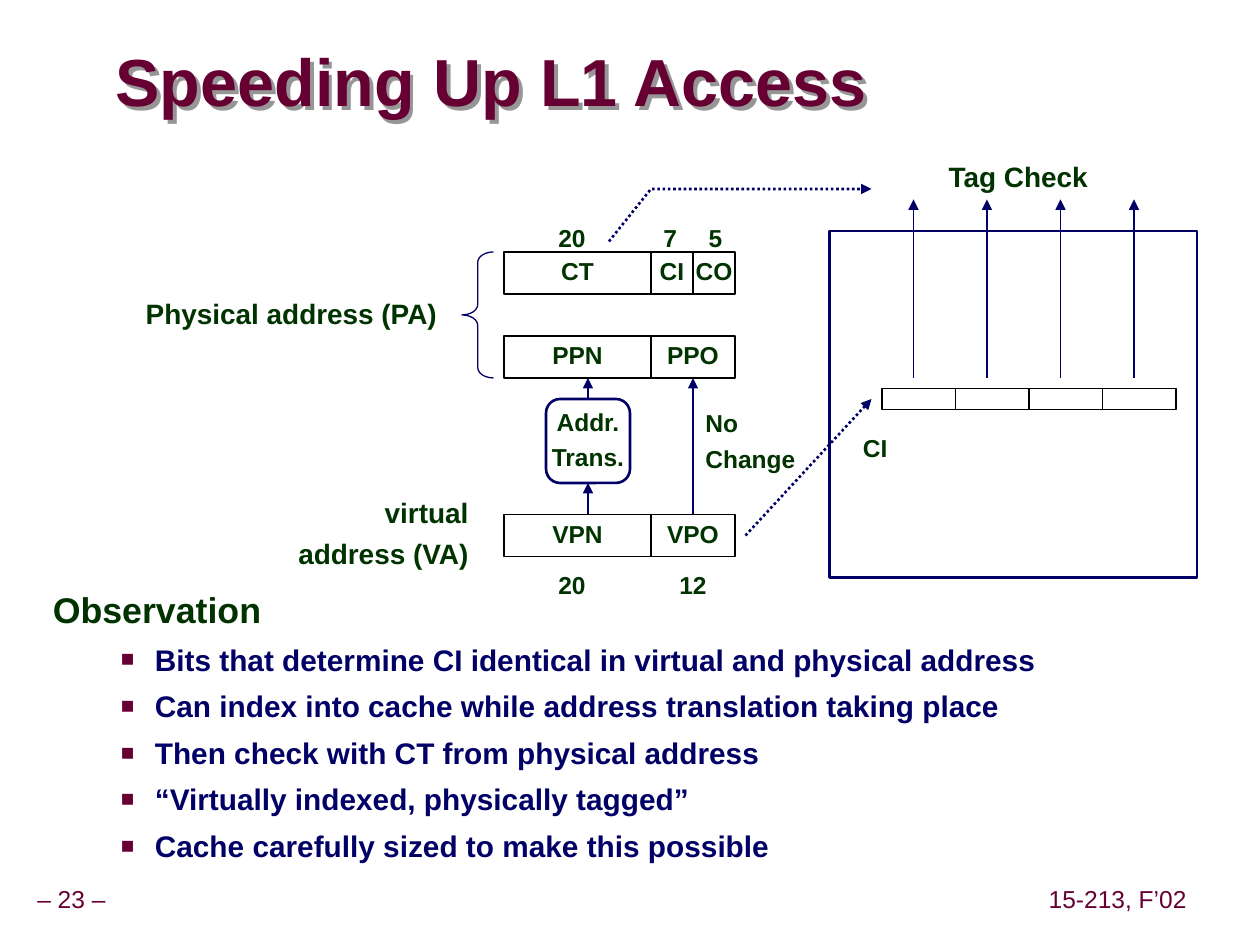
from lxml.etree import SubElement
from pptx import Presentation
from pptx.dml.color import RGBColor
from pptx.enum.dml import MSO_LINE
from pptx.enum.shapes import MSO_CONNECTOR, MSO_SHAPE
from pptx.enum.text import MSO_ANCHOR, PP_ALIGN
from pptx.oxml.ns import qn
from pptx.util import Inches, Pt

MAROON = RGBColor(0x66, 0x00, 0x33)
GREEN = RGBColor(0x00, 0x33, 0x00)
NAVY = RGBColor(0x00, 0x00, 0x66)
BLACK = RGBColor(0x00, 0x00, 0x00)
WHITE = RGBColor(0xFF, 0xFF, 0xFF)
GREY = RGBColor(0x96, 0x96, 0x96)
FONT = "Arial"
UNIT = Inches(1) / 12  # the slide is a grid of 120 columns by 90 rows


def grid(box, *cells):
    """Column, row pairs relative to a box, as slide lengths."""
    return [round((v + box[i % 2]) * UNIT) for i, v in enumerate(cells)]


def area(box, col, row, cols, rows):
    return grid(box, col, row) + grid((0, 0), cols, rows)


def write(tf, lines, size, color=GREEN, bold=True, align=PP_ALIGN.LEFT,
          anchor=MSO_ANCHOR.TOP, wrap=False, spacing=0.9, gap=5.2, inset=(0.1, 0.05)):
    tf.word_wrap = wrap
    tf.vertical_anchor = anchor
    tf.margin_left = tf.margin_right = Inches(inset[0])
    tf.margin_top = tf.margin_bottom = Inches(inset[1])
    for i, line in enumerate(lines):
        p = tf.add_paragraph() if i else tf.paragraphs[0]
        p.alignment = align
        p.line_spacing = spacing
        if i:
            p.space_before = Pt(gap)
        add_run(p, line, size, color, bold)


def add_run(p, text, size, color, bold=True):
    r = p.add_run()
    r.text = text
    r.font.size = Pt(size)
    r.font.bold = bold
    r.font.color.rgb = color
    r.font.name = FONT


def label(s, place, lines, size=14, **style):
    tb = s.shapes.add_textbox(*place)
    write(tb.text_frame, lines, size, **style)
    return tb


def outline(s, kind, place, fill=None, color=NAVY, width=0.75):
    sp = s.shapes.add_shape(kind, *place)
    sp.shadow.inherit = False
    if fill is None:
        sp.fill.background()
    else:
        sp.fill.solid()
        sp.fill.fore_color.rgb = fill
    sp.line.color.rgb = color
    sp.line.width = Pt(width)
    return sp


def field(s, place, text):
    sp = outline(s, MSO_SHAPE.RECTANGLE, place, WHITE, BLACK)
    write(sp.text_frame, [text], 14, align=PP_ALIGN.CENTER, anchor=MSO_ANCHOR.MIDDLE)
    return sp


def style_arrow(sp, dotted):
    sp.line.color.rgb = NAVY
    sp.line.width = Pt(1.5 if dotted else 0.75)
    if dotted:
        sp.line.dash_style = MSO_LINE.ROUND_DOT
    SubElement(sp.line._get_or_add_ln(), qn("a:tailEnd"), type="triangle")


def arrow(s, ends, dotted=False):
    c = s.shapes.add_connector(MSO_CONNECTOR.STRAIGHT, *ends)
    style_arrow(c, dotted)
    SubElement(c._element.spPr, qn("a:effectLst"))
    return c


def title(s, place, text):
    tb = label(s, place, [text], 38, color=MAROON, anchor=MSO_ANCHOR.MIDDLE,
               wrap=True, spacing=0.87, inset=(0, 0))
    # With no fill on the box, its shadow falls from the letters
    effects = SubElement(tb._element.spPr, qn("a:effectLst"))
    shadow = SubElement(effects, qn("a:outerShdw"), dist=str(Inches(0.045)),
                        dir="2700000", algn="ctr", rotWithShape="0")
    SubElement(shadow, qn("a:srgbClr"), val=str(GREY))


def address_diagram(s, box):
    # Rows of address fields: (row, [(name, columns)])
    rows = [(6, [("CT", 14), ("CI", 4), ("CO", 4)]),
            (14, [("PPN", 14), ("PPO", 8)]),
            (31, [("VPN", 14), ("VPO", 8)])]
    fields = {}
    for row, parts in rows:
        col = 38
        for name, cols in parts:
            fields[name] = field(s, area(box, col, row, cols, 4), name)
            col += cols

    # Field widths in bits
    for col, row, cols, bits in [(42, 3, 5, "20"), (52, 3, 3.7, "7"), (56.3, 3, 3.7, "5"),
                                 (42, 36, 5, "20"), (52, 36, 8, "12")]:
        align = PP_ALIGN.CENTER if bits == "12" else PP_ALIGN.LEFT
        label(s, area(box, col, row, cols, 3.7), [bits], align=align)

    # Address names and brace
    label(s, area(box, 0, 10, 32.8, 4), ["Physical address (PA)"], 16,
          align=PP_ALIGN.RIGHT, wrap=True)
    label(s, area(box, 17, 29, 18.8, 8), ["virtual", "address (VA)"], 16,
          align=PP_ALIGN.RIGHT, gap=6)
    brace = outline(s, MSO_SHAPE.LEFT_BRACE, area(box, 34, 6, 3, 12))
    brace.adjustments[0] = 0.33

    # Translation from virtual to physical
    trans = outline(s, MSO_SHAPE.ROUNDED_RECTANGLE, area(box, 42, 20, 8, 8), width=1.5)
    write(trans.text_frame, ["Addr.", "Trans."], 14, align=PP_ALIGN.CENTER,
          anchor=MSO_ANCHOR.MIDDLE)
    arrow(s, grid(box, 46, 31, 46, 28)).end_connect(trans, 2)
    arrow(s, grid(box, 46, 20, 46, 18)).begin_connect(trans, 0)
    same = arrow(s, grid(box, 56, 31, 56, 18))
    same.begin_connect(fields["VPO"], 0)
    same.end_connect(fields["PPO"], 2)
    label(s, area(box, 56, 20.6, 12, 7.1), ["No", "Change"], wrap=True)


def cache(s, box):
    outline(s, MSO_SHAPE.RECTANGLE, area(box, 0, 0, 35, 33), WHITE, width=1.5)
    for i in range(4):
        col = 5 + 7 * i
        outline(s, MSO_SHAPE.RECTANGLE, area(box, col, 15, 7, 2), color=BLACK)
        arrow(s, grid(box, col + 3, 14, col + 3, -3))
    label(s, area(box, 2, 19, 4.7, 3.7), ["CI"])
    label(s, area(box, 10, -7, 15.8, 4), ["Tag Check"], 16, align=PP_ALIGN.RIGHT)


def lookup_links(s, box):
    # Index into the cache, then tag to the check
    arrow(s, grid(box, 13, 33, 25, 20), dotted=True)
    builder = s.shapes.build_freeform(*grid(box, 0, 5))
    builder.add_line_segments([grid(box, 4, 0), grid(box, 25, 0)], close=False)
    bent = builder.convert_to_shape()
    bent.shadow.inherit = False
    bent.fill.background()
    style_arrow(bent, dotted=True)


def observation(s, place, heading, points):
    tf = s.shapes.add_textbox(*place).text_frame
    write(tf, [heading], 20.4, wrap=True, spacing=0.85)
    for point in points:
        p = tf.add_paragraph()
        p.level = 1
        pPr = p._p.get_or_add_pPr()
        pPr.set("marL", str(Inches(0.81)))
        pPr.set("indent", str(Inches(-0.27)))
        SubElement(SubElement(pPr, qn("a:buClr")), qn("a:srgbClr"), val=str(MAROON))
        SubElement(pPr, qn("a:buSzPct"), val="75000")
        SubElement(pPr, qn("a:buFont"), typeface=FONT)
        SubElement(pPr, qn("a:buChar"), char="■")
        p.space_before = Pt(6.2)
        add_run(p, point, 17, NAVY)


def footer(s, box, page, course):
    for col, cols, text in [(0, 15.7, page), (100.3, 14.4, course)]:
        label(s, area(box, col, 0, cols, 3.7), [text], color=MAROON, bold=False,
              align=PP_ALIGN.CENTER, anchor=MSO_ANCHOR.MIDDLE, inset=(0.05, 0.05))


def main():
    prs = Presentation()
    prs.slide_width, prs.slide_height = Inches(10), Inches(7.5)
    s = prs.slides.add_slide(prs.slide_layouts[6])
    page = (0, 0)
    footer(s, (-1.05, 83.95), "– 23 –", "15-213, F’02")
    title(s, area(page, 11, 4.4, 84, 7.6), "Speeding Up L1 Access")
    observation(s, area(page, 3.85, 56, 112.2, 26.6), "Observation", [
        "Bits that determine CI identical in virtual and physical address",
        "Can index into cache while address translation taking place",
        "Then check with CT from physical address",
        "“Virtually indexed, physically tagged”",
        "Cache carefully sized to make this possible",
    ])
    address_diagram(s, (10, 18))
    cache(s, (79, 22))
    lookup_links(s, (58, 18))
    prs.save("out.pptx")


if __name__ == "__main__":
    main()
